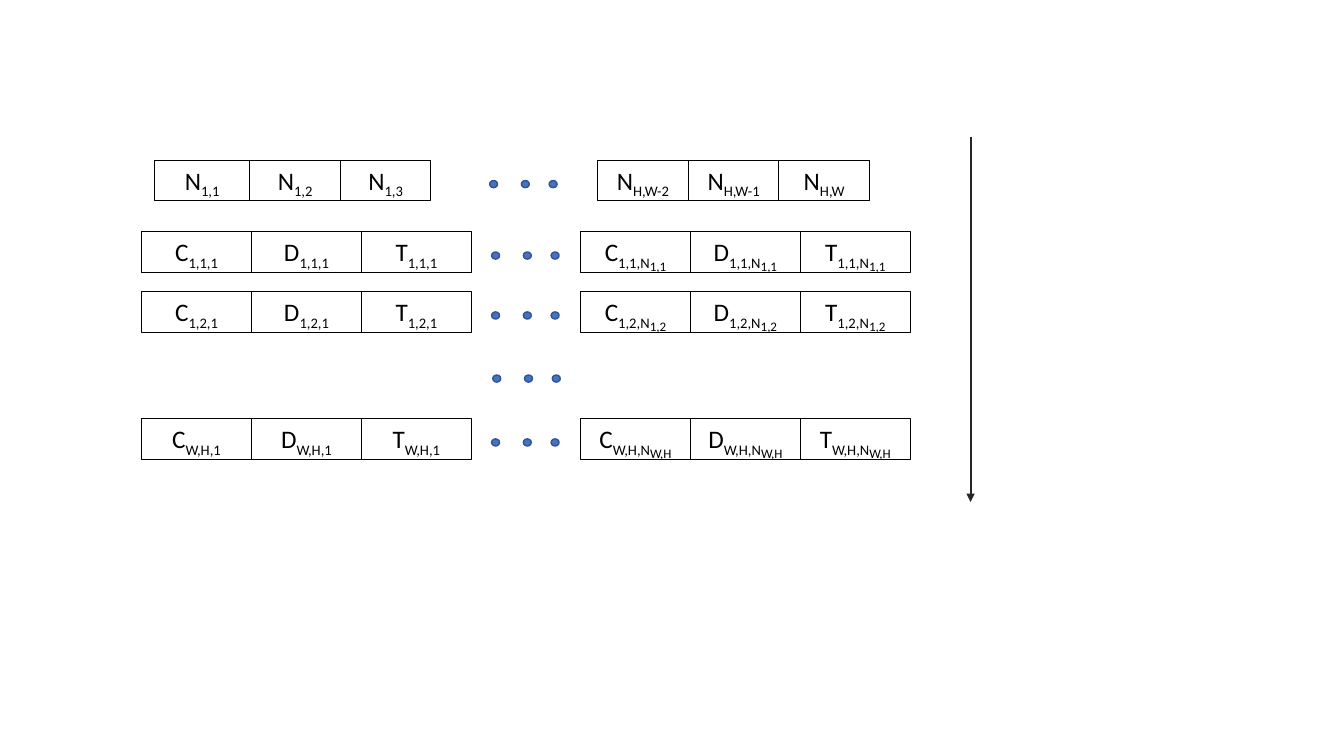
from dataclasses import dataclass

from lxml import etree
from pptx import Presentation
from pptx import util as u
from pptx.dml.color import RGBColor
from pptx.enum import shapes, text
from pptx.oxml.ns import qn


@dataclass(frozen=True)
class Theme:
    font: str = "Calibri"
    label_size: int = 18
    nested_size: int = 16
    subscript: int = -25000
    nested_subscript: int = -42000
    ink: RGBColor = RGBColor(0x00, 0x00, 0x00)
    arrow: RGBColor = RGBColor(0x26, 0x26, 0x26)
    dot: RGBColor = RGBColor(0x44, 0x72, 0xC4)
    dot_edge: RGBColor = RGBColor(0x32, 0x54, 0x91)


class Diagram:
    CELL_HEIGHT = 1.02
    DOT_OFFSETS = (0, 0.8, 1.5)

    def __init__(self, slide, theme):
        self.shapes = slide.shapes
        self.theme = theme

    def cell(self, left, top, width, symbol, index, nested=""):
        """Draw a box with a symbol, its subscript and a subscript of that subscript."""
        theme = self.theme
        box = self.shapes.add_textbox(
            u.Cm(left), u.Cm(top), u.Cm(width), u.Cm(self.CELL_HEIGHT))
        box.line.color.rgb = theme.ink
        box.line.width = u.Pt(0.75)
        frame = box.text_frame
        frame.word_wrap = True
        frame.auto_size = text.MSO_AUTO_SIZE.SHAPE_TO_FIT_TEXT
        label = frame.paragraphs[0]
        label.alignment = text.PP_ALIGN.CENTER
        label.font.name = theme.font
        label.font.size = u.Pt(theme.label_size)
        label.font.color.rgb = theme.ink
        label.add_run().text = symbol
        self.subscript(label, index, theme.label_size, theme.subscript)
        if nested:
            self.subscript(label, nested, theme.nested_size, theme.nested_subscript)

    def subscript(self, label, content, size, baseline):
        run = label.add_run()
        run.text = content
        run.font.size = u.Pt(size)
        run.font.color.rgb = self.theme.ink
        run.font.name = self.theme.font
        run.font._element.set("baseline", str(baseline))

    def cells(self, left, top, widths, labels):
        """Draw adjoining cells from left to right."""
        for width, label in zip(widths, labels):
            self.cell(left, top, width, *label)
            left += width

    def dots(self, left, top):
        for offset in self.DOT_OFFSETS:
            dot = self.shapes.add_shape(
                shapes.MSO_SHAPE.OVAL, u.Cm(left + offset), u.Cm(top), u.Cm(0.2), u.Cm(0.18))
            dot.shadow.inherit = False
            dot.fill.solid()
            dot.fill.fore_color.rgb = self.theme.dot
            dot.line.color.rgb = self.theme.dot_edge
            dot.line.width = u.Pt(1)

    def down_arrow(self, x, top, bottom):
        arrow = self.shapes.add_connector(
            shapes.MSO_CONNECTOR.STRAIGHT, u.Cm(x), u.Cm(top), u.Cm(x), u.Cm(bottom))
        arrow.line.color.rgb = self.theme.arrow
        arrow.line.width = u.Pt(1.5)
        etree.SubElement(arrow.line._get_or_add_ln(), qn("a:tailEnd"), type="triangle")
        etree.SubElement(arrow._element.spPr, qn("a:effectLst"))


def main():
    deck = Presentation()
    deck.slide_width, deck.slide_height = u.Cm(33.87), u.Cm(19.05)
    diagram = Diagram(deck.slides.add_slide(deck.slide_layouts[6]), Theme())
    dot_drop = 0.51

    counts_top = 4.04
    diagram.cells(3.89, counts_top, (2.41, 2.28, 2.28),
                  [("N", index) for index in ("1,1", "1,2", "1,3")])
    diagram.cells(15.06, counts_top, (2.29, 2.28, 2.28),
                  [("N", index) for index in ("H,W-2", "H,W-1", "H,W")])
    diagram.dots(12.34, counts_top + dot_drop)

    record_widths = (2.77,) * 3
    for top, position in ((5.84, "1,1"), (7.35, "1,2"), (10.55, "W,H")):
        diagram.cells(3.57, top, record_widths,
                      [(symbol, f"{position},1") for symbol in "CDT"])
        diagram.cells(14.63, top, record_widths,
                      [(symbol, f"{position},N", position) for symbol in "CDT"])
        diagram.dots(12.39, top + dot_drop)
    diagram.dots(12.42, 9.45)

    diagram.down_arrow(24.46, 3.45, 12.65)
    deck.save("out.pptx")


if __name__ == "__main__":
    main()
